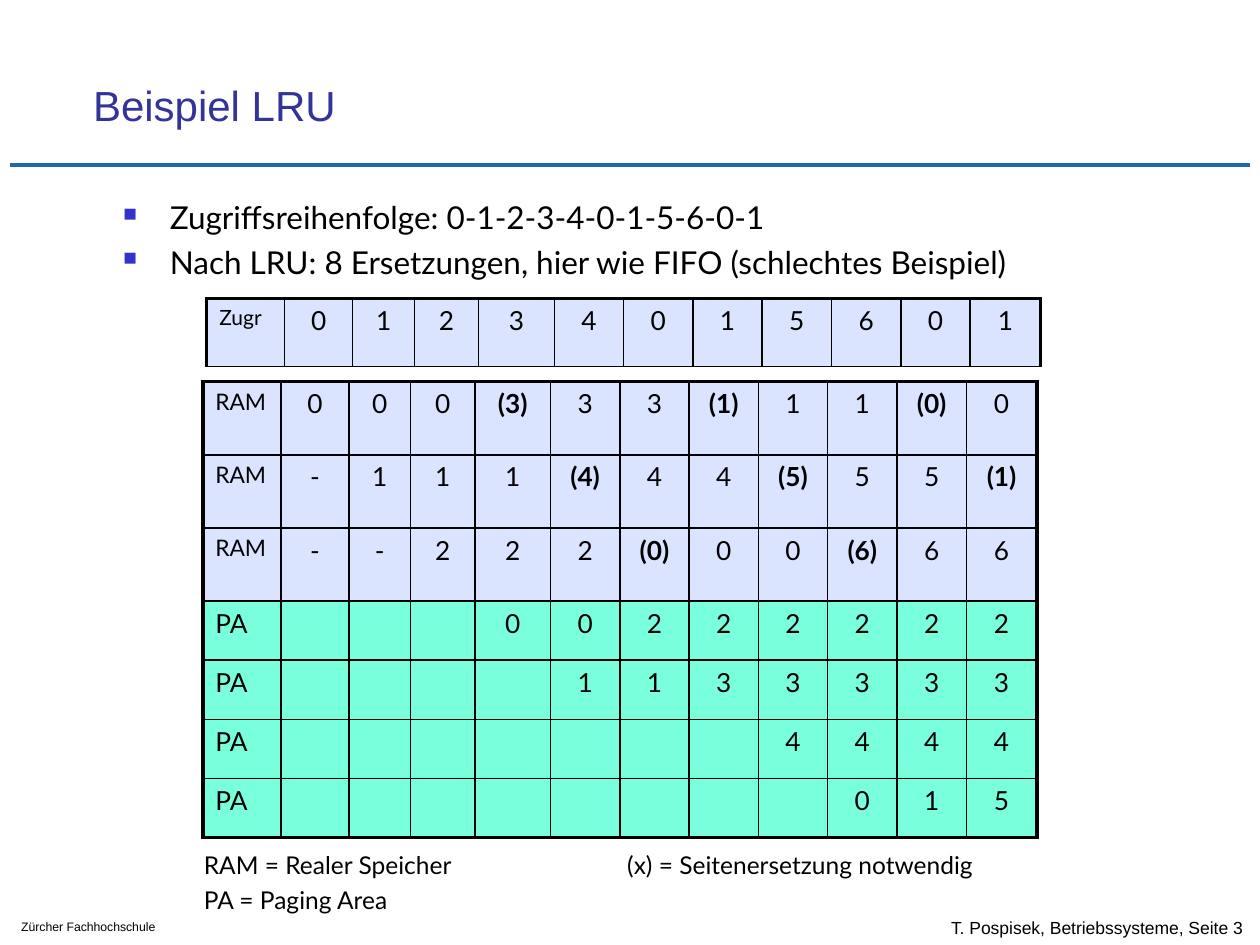
from lxml import etree
from pptx import Presentation
from pptx.dml.color import RGBColor
from pptx.enum.shapes import MSO_CONNECTOR
from pptx.enum.text import MSO_ANCHOR, PP_ALIGN
from pptx.oxml.ns import qn
from pptx.util import Inches, Pt

STRAIGHT = MSO_CONNECTOR.STRAIGHT
TOP, MIDDLE, BOTTOM = MSO_ANCHOR.TOP, MSO_ANCHOR.MIDDLE, MSO_ANCHOR.BOTTOM
CENTER = PP_ALIGN.CENTER
BLACK, BLUE, GREEN = "000000", "DAE4FF", "79FFDC"
THIN, THICK = 0.96, 2.21

TITLE = "Beispiel LRU"
BULLETS = [
    "Zugriffsreihenfolge: 0-1-2-3-4-0-1-5-6-0-1",
    "Nach LRU: 8 Ersetzungen, hier wie FIFO (schlechtes Beispiel)",
]
LEGEND = ["RAM = Realer Speicher\t(x) = Seitenersetzung notwendig", "PA = Paging Area"]
SCHOOL = "Zürcher Fachhochschule"
FOOTER = "T. Pospisek, Betriebssysteme, Seite 3"

COLUMNS = [0.62, 0.54, 0.49, 0.51, 0.6] + [0.55] * 6 + [0.56]
ACCESSES = [("Zugr", "0 1 2 3 4 0 1 5 6 0 1")]
MEMORY = [
    ("RAM", "0 0 0 (3) 3 3 (1) 1 1 (0) 0"),
    ("RAM", "- 1 1 1 (4) 4 4 (5) 5 5 (1)"),
    ("RAM", "- - 2 2 2 (0) 0 0 (6) 6 6"),
    ("PA", "0 0 2 2 2 2 2 2"),
    ("PA", "1 1 3 3 3 3 3"),
    ("PA", "4 4 4 4"),
    ("PA", "0 1 5"),
]
ROW_STYLES = {
    "Zugr": (12, 0.54, BLUE),
    "RAM": (13, 0.58, BLUE),
    "PA": (15, 0.47, GREEN),
}


def color(value):
    return RGBColor.from_string(value)


def add_span(para, text, size, font="Lato", ink=BLACK, bold=False):
    span = para.add_run()
    span.text = text
    span.font.size = Pt(size)
    span.font.name = font
    span.font.bold = bold
    span.font.color.rgb = color(ink)


def add_text(page, place, lines, size, font="Lato", ink=BLACK, anchor=TOP, gap=0, wrap=True):
    box = page.shapes.add_textbox(*map(Inches, place))
    frame = box.text_frame
    frame.word_wrap = wrap
    frame.vertical_anchor = anchor
    for index, line in enumerate(lines):
        para = frame.paragraphs[0] if index == 0 else frame.add_paragraph()
        if index:
            para.space_before = Pt(gap)
        add_span(para, line, size, font, ink)
    return frame.paragraphs


def add_bullet(para):
    props = para._p.get_or_add_pPr()
    props.set("marL", str(Inches(0.38)))
    props.set("indent", str(Inches(-0.37)))
    tint = etree.SubElement(props, qn("a:buClr"))
    etree.SubElement(tint, qn("a:srgbClr"), val="3333CC")
    etree.SubElement(props, qn("a:buSzPct"), val="60000")
    etree.SubElement(props, qn("a:buChar"), char="■")


def add_tab_stop(para, position):
    stops = etree.SubElement(para._p.get_or_add_pPr(), qn("a:tabLst"))
    etree.SubElement(stops, qn("a:tab"), pos=str(Inches(position)), algn="l")


def set_borders(cell, widths):
    props = cell._tc.get_or_add_tcPr()
    for index, (side, width) in enumerate(widths.items()):
        line = etree.Element(qn("a:ln" + side), w=str(Pt(width)))
        fill = etree.SubElement(line, qn("a:solidFill"))
        etree.SubElement(fill, qn("a:srgbClr"), val=BLACK)
        props.insert(index, line)


def add_grid(page, left, top, rows, bottom_width):
    heights = [ROW_STYLES[label][1] for label, _ in rows]
    frame = page.shapes.add_table(
        len(rows), len(COLUMNS), Inches(left), Inches(top),
        Inches(sum(COLUMNS)), Inches(sum(heights)))
    table = frame.table
    table.first_row = table.horz_banding = False
    for column, width in zip(table.columns, COLUMNS):
        column.width = Inches(width)
    last_row, last_column = len(rows) - 1, len(COLUMNS) - 1
    for r, (label, sequence) in enumerate(rows):
        label_size, height, fill = ROW_STYLES[label]
        table.rows[r].height = Inches(height)
        values = sequence.split()
        texts = [label] + [""] * (last_column - len(values)) + values
        for c, text in enumerate(texts):
            cell = table.cell(r, c)
            cell.fill.solid()
            cell.fill.fore_color.rgb = color(fill)
            set_borders(cell, {
                "L": THICK if c == 0 else THIN,
                "R": THICK if c == last_column else THIN,
                "T": THICK if r == 0 else THIN,
                "B": bottom_width if r == last_row else THIN,
            })
            if text:
                para = cell.text_frame.paragraphs[0]
                if c:
                    para.alignment = CENTER
                add_span(para, text, 15 if c else label_size, bold=text.startswith("("))


def main():
    deck = Presentation()
    deck.slide_width, deck.slide_height = Inches(10), Inches(7.5)
    page = deck.slides.add_slide(deck.slide_layouts[6])

    rule = page.shapes.add_connector(
        STRAIGHT, Inches(0.08), Inches(1.31), Inches(9.92), Inches(1.31))
    rule.line.color.rgb = color("2266AB")
    rule.line.width = Pt(2.5)
    etree.SubElement(rule._element.spPr, qn("a:effectLst"))

    add_text(page, (7.45, 7.2, 3.43, 0.33), [FOOTER], 10, "Arial", anchor=MIDDLE, wrap=False)
    add_text(page, (0.07, 7.25, 1.72, 0.22), [SCHOOL], 7, "Arial")
    add_text(page, (0.64, 0.33, 8.52, 0.75), [TITLE], 24, "Arial", "333399", BOTTOM)
    for para in add_text(page, (0.87, 1.52, 8.36, 1.08), BULLETS, 18, gap=4):
        add_bullet(para)

    add_grid(page, 1.61, 3.03, MEMORY, THICK)
    add_grid(page, 1.64, 2.37, ACCESSES, THIN)

    legend = add_text(page, (1.52, 6.7, 8, 0.67), LEGEND, 14, gap=2.8)
    add_tab_stop(legend[0], 3.36)

    deck.save("out.pptx")


if __name__ == "__main__":
    main()
